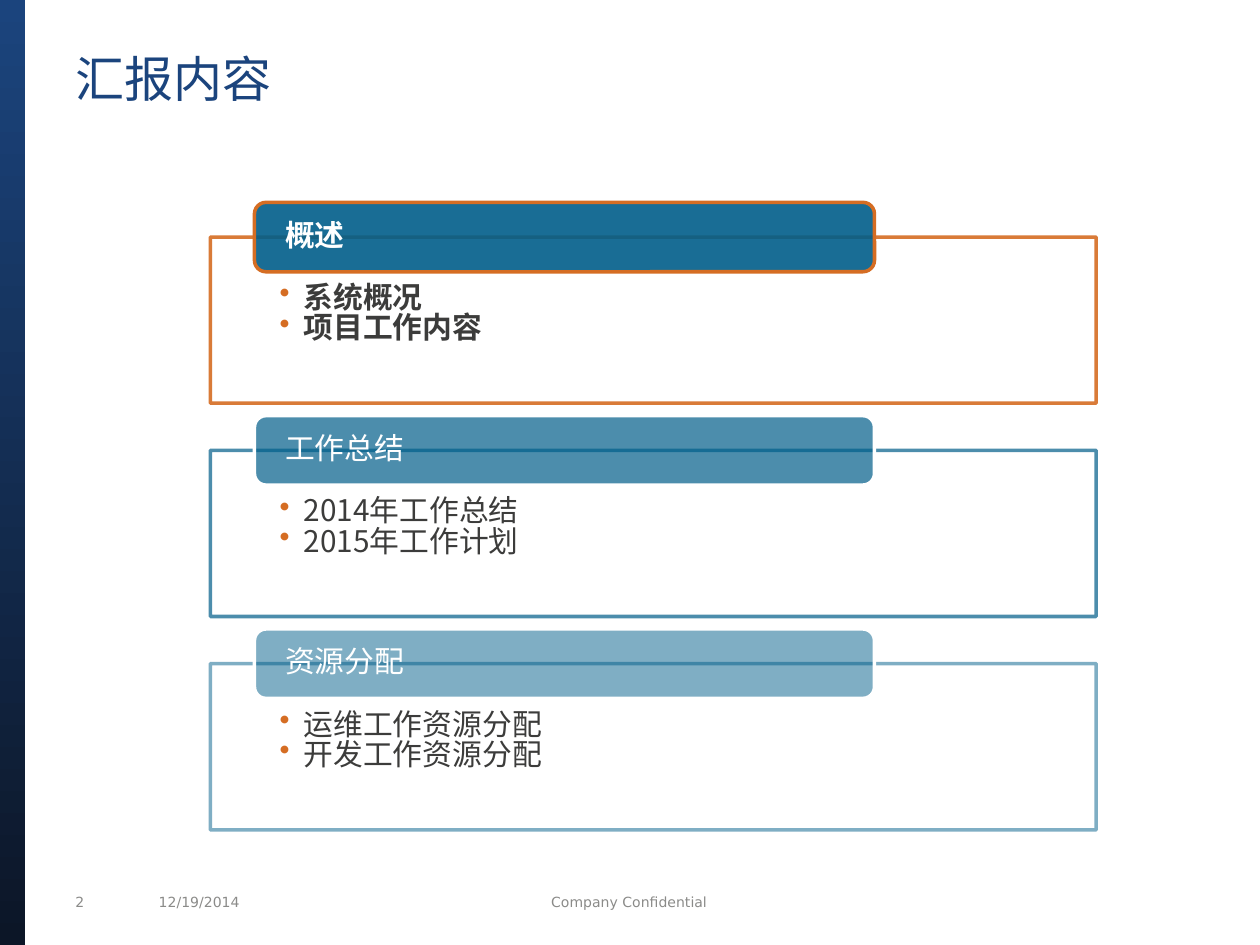
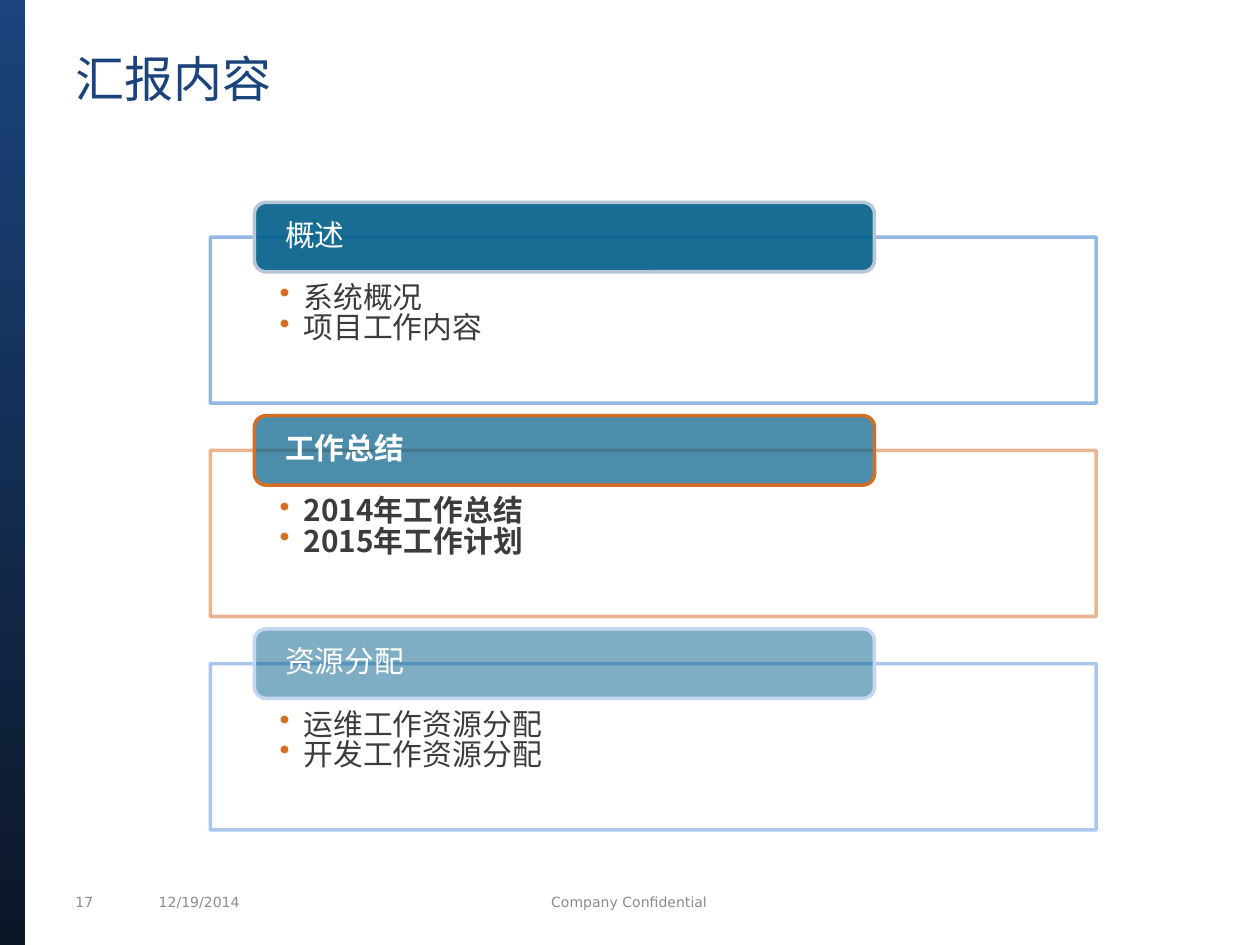
from lxml import etree
from pptx import Presentation
from pptx.dml.color import RGBColor
from pptx.enum import shapes, text
from pptx.oxml import ns
from pptx.util import Cm, Pt

NAVY, NIGHT, TEAL, ORANGE = "1B447D", "0C1627", "005E8A", "D56D23"
WHITE, INK, GRAY, SKY = "FFFFFF", "3C3C3B", "8B8B89", "89B0E6"
CJK, LATIN = "Noto Sans CJK SC", "DejaVu Sans"

SECTIONS = [
    ("概述", ["系统概况", "项目工作内容"]),
    ("工作总结", ["2014年工作总结", "2015年工作计划"]),
    ("资源分配", ["运维工作资源分配", "开发工作资源分配"]),
]
TAB_OPACITY = [90, 70, 50]
# Page number, current section, then per section: panel line, its opacity, tab line
AGENDAS = [
    ("2", 0, [(ORANGE, 90, ORANGE), (TEAL, 70, WHITE), (TEAL, 50, WHITE)]),
    ("17", 1, [(SKY, 90, "B8C7D6"), (ORANGE, 50, ORANGE), (SKY, 70, "C4D7F2")]),
]
PANEL_TOP, TAB_TOP, PITCH = 4.78, 4.08, 4.3


def paint(color_format, hex_color, opacity=100):
    """Colour a solid fill, line or font, with opacity in percent."""
    color_format.solid()
    color_format.fore_color.rgb = RGBColor.from_string(hex_color)
    if opacity < 100:
        color = color_format._xPr.find(ns.qn("a:solidFill"))[0]
        etree.SubElement(color, ns.qn("a:alpha"), val=str(opacity * 1000))


def write(shape, lines, font, size, color, bold=False, spacing=None, bullet=False,
          align=text.PP_ALIGN.LEFT, anchor=text.MSO_ANCHOR.MIDDLE, insets=(0.25, 0)):
    """Fill a shape with paragraphs; insets are side, top in cm."""
    frame = shape.text_frame
    frame.text = "\n".join(lines)
    frame.word_wrap = True
    frame.vertical_anchor = anchor
    frame.margin_left = frame.margin_right = Cm(insets[0])
    frame.margin_top, frame.margin_bottom = Cm(insets[1]), 0
    for paragraph in frame.paragraphs:
        paragraph.alignment = align
        if spacing:
            paragraph.line_spacing = spacing
        if bullet:
            props = paragraph._p.get_or_add_pPr()
            props.set("marL", str(Cm(0.48)))
            props.set("indent", str(-Cm(0.48)))
            bullet_color = etree.SubElement(props, ns.qn("a:buClr"))
            etree.SubElement(bullet_color, ns.qn("a:srgbClr"), val=ORANGE)
            etree.SubElement(props, ns.qn("a:buChar"), char="•")
        for run in paragraph.runs:
            run.font.name, run.font.size, run.font.bold = font, Pt(size), bold
            paint(run.font.fill, color)
            etree.SubElement(run._r.rPr, ns.qn("a:ea"), typeface=font)


deck = Presentation()
deck.slide_width, deck.slide_height = Cm(25.4), Cm(19.05)

for page, current, outlines in AGENDAS:
    slide = deck.slides.add_slide(deck.slide_layouts[6])

    footers = [
        (page, 1.27, 1.27, text.PP_ALIGN.LEFT),
        ("12/19/2014", 2.95, 4.24, text.PP_ALIGN.LEFT),
        ("Company Confidential", 7.39, 10.59, text.PP_ALIGN.CENTER),
    ]
    for words, left, width, align in footers:
        footer = slide.shapes.add_textbox(Cm(left), Cm(17.88), Cm(width), Cm(0.61))
        write(footer, [words], LATIN, 8, GRAY, align=align)

    side_band = slide.shapes.add_shape(
        shapes.MSO_SHAPE.RECTANGLE, 0, 0, Cm(0.51), deck.slide_height)
    side_band.shadow.inherit = False
    side_band.line.fill.background()
    side_band.fill.gradient()
    side_band.fill.gradient_angle = 270
    for stop, shade in zip(side_band.fill.gradient_stops, (NAVY, NIGHT)):
        stop.color.rgb = RGBColor.from_string(shade)

    title = slide.shapes.add_textbox(Cm(1.27), Cm(1.12), Cm(22.86), Cm(1.42))
    write(title, ["汇报内容"], CJK, 28, NAVY, spacing=0.9, anchor=text.MSO_ANCHOR.TOP)

    for row, (heading, topics) in enumerate(SECTIONS):
        panel_line, panel_opacity, tab_line = outlines[row]
        bold = row == current

        panel = slide.shapes.add_shape(
            shapes.MSO_SHAPE.RECTANGLE,
            Cm(4.24), Cm(PANEL_TOP + row * PITCH), Cm(17.86), Cm(3.35))
        paint(panel.fill, WHITE, 90)
        paint(panel.line.fill, panel_line, panel_opacity)
        write(panel, topics, CJK, 17, INK, bold, spacing=0.85, bullet=True,
              anchor=text.MSO_ANCHOR.TOP, insets=(1.4, 0.95))

        tab = slide.shapes.add_shape(
            shapes.MSO_SHAPE.ROUNDED_RECTANGLE,
            Cm(5.13), Cm(TAB_TOP + row * PITCH), Cm(12.5), Cm(1.4))
        paint(tab.fill, TEAL, TAB_OPACITY[row])
        paint(tab.line.fill, tab_line)
        write(tab, [heading], CJK, 17, WHITE, bold, spacing=0.85, insets=(0.55, 0))

        for box in (panel, tab):
            box.shadow.inherit = False
            box.line.width = Pt(2)

deck.save("out.pptx")
